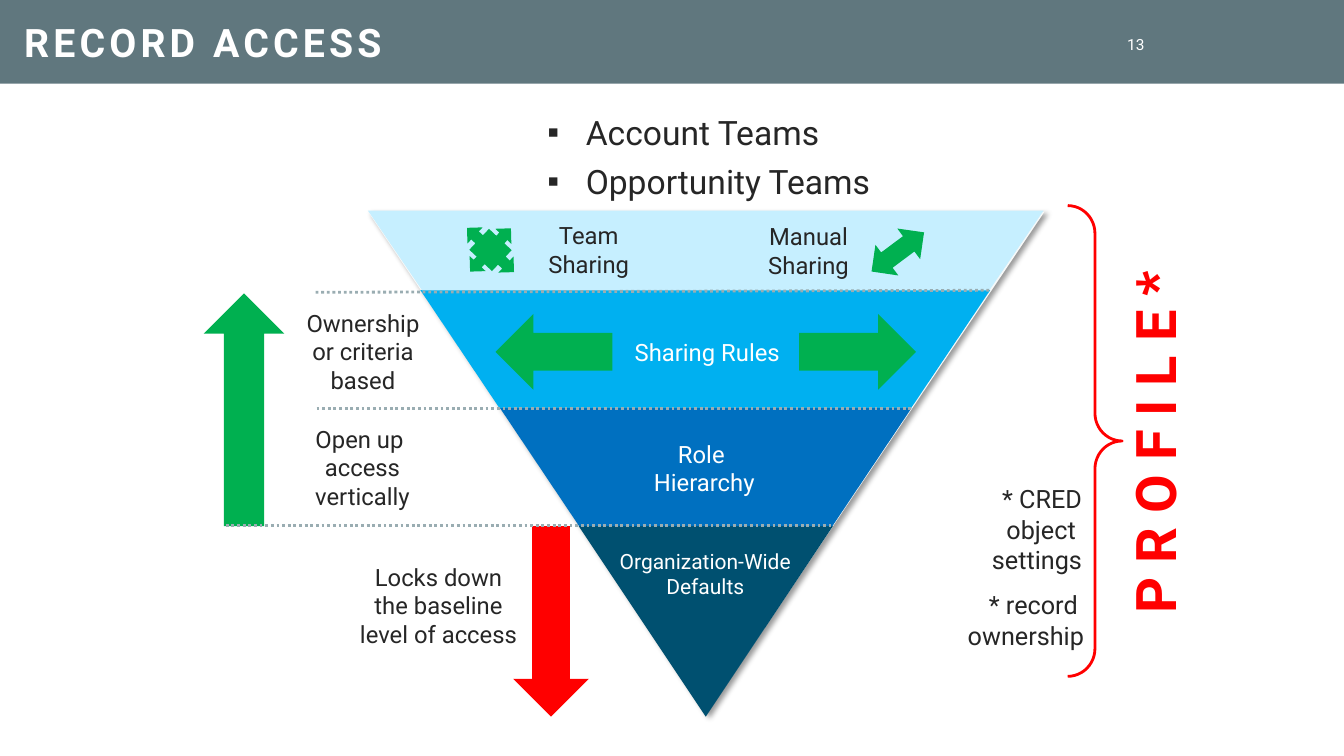
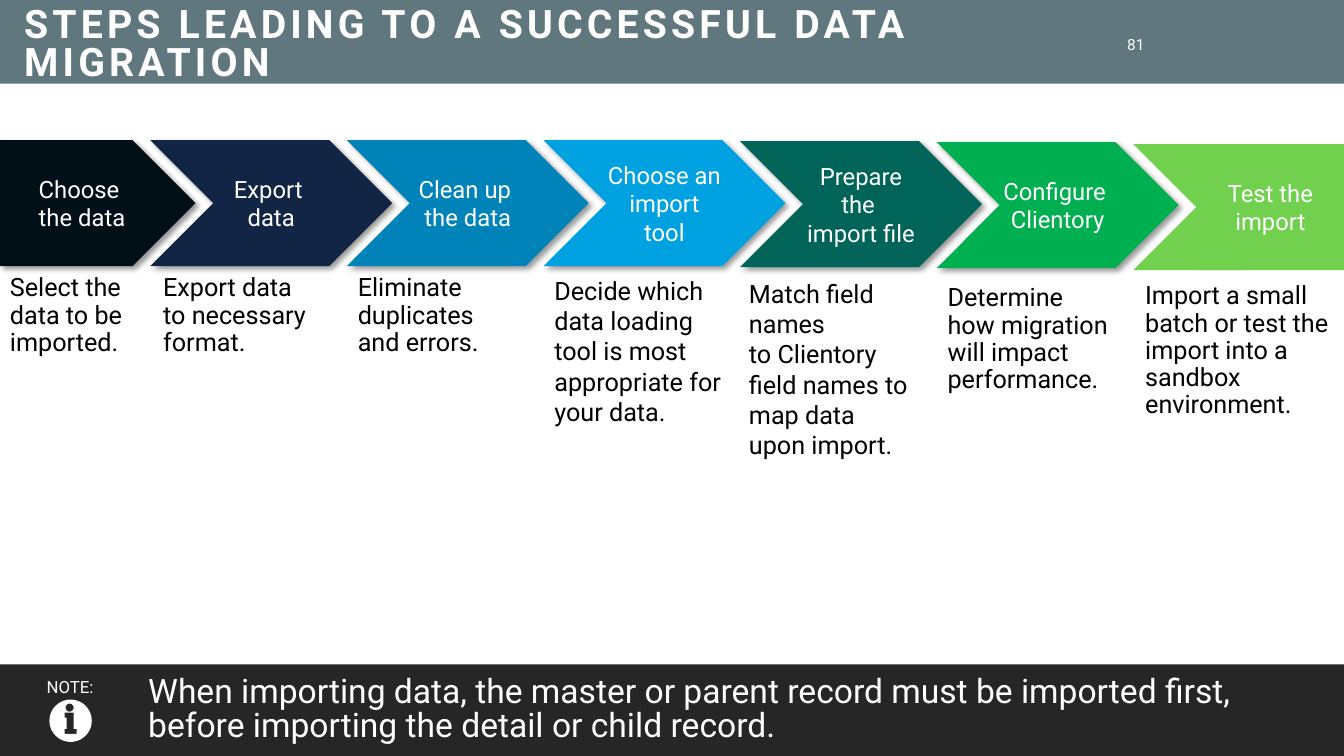
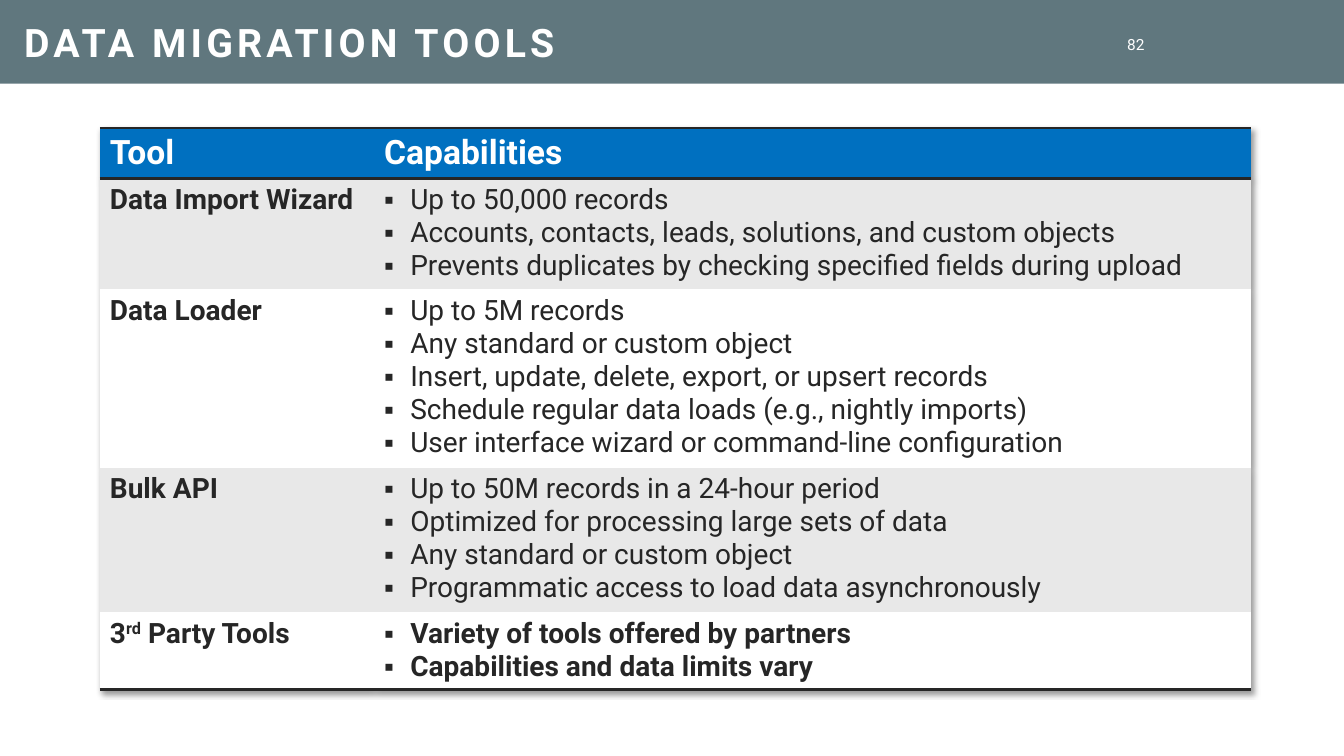
"""Build three training slides on record access and data migration."""
from math import cos, pi, sin

from lxml import etree
from pptx import Presentation
from pptx.dml.color import RGBColor
from pptx.enum.dml import MSO_LINE
from pptx.enum.shapes import MSO_CONNECTOR, MSO_SHAPE
from pptx.enum.text import MSO_ANCHOR, MSO_AUTO_SIZE, PP_ALIGN
from pptx.oxml import parse_xml
from pptx.oxml.ns import nsdecls, qn
from pptx.util import Inches, Pt

FONT = "Roboto"
WHITE = RGBColor(0xFF, 0xFF, 0xFF)
BLACK = RGBColor(0x00, 0x00, 0x00)
INK = RGBColor(0x26, 0x26, 0x26)
SLATE = RGBColor(0x60, 0x77, 0x7E)
DOTS = RGBColor(0x9A, 0xAD, 0xB2)
MIST = RGBColor(0xF7, 0xF9, 0xF9)
STRIPE = RGBColor(0xE8, 0xE8, 0xE8)
RED = RGBColor(0xFF, 0x00, 0x00)
GREEN = RGBColor(0x00, 0xB0, 0x50)
LIME = RGBColor(0x71, 0xD1, 0x4F)
PINE = RGBColor(0x00, 0x65, 0x58)
ICE = RGBColor(0xC6, 0xEF, 0xFF)
SKY = RGBColor(0x00, 0xB0, 0xF0)
AZURE = RGBColor(0x00, 0xA1, 0xE0)
OCEAN = RGBColor(0x00, 0x83, 0xB8)
BLUE = RGBColor(0x00, 0x70, 0xC0)
TEAL = RGBColor(0x00, 0x50, 0x70)
NAVY = RGBColor(0x13, 0x25, 0x45)
NIGHT = RGBColor(0x00, 0x10, 0x16)

SHADOW = (
    f'<a:outerShdw {nsdecls("a")} blurRad="50800" dist="38100" dir="2700000" algn="tl" '
    'rotWithShape="0"><a:srgbClr val="000000"><a:alpha val="40000"/></a:srgbClr></a:outerShdw>'
)
BORDER = (
    '<a:{side} {ns} w="25400"><a:solidFill><a:srgbClr val="{colour}"/></a:solidFill></a:{side}>'
)


def write(frame, lines, size, colour, align=PP_ALIGN.LEFT, spacing=1.0, bold=False, indent=0, gap=0):
    frame.word_wrap = True
    for number, line in enumerate(lines):
        paragraph = frame.add_paragraph() if number else frame.paragraphs[0]
        if indent:
            properties = paragraph._p.get_or_add_pPr()
            properties.set("marL", str(Inches(indent)))
            properties.set("indent", str(-Inches(indent)))
            etree.SubElement(properties, qn("a:buFont"), typeface="Arial")
            etree.SubElement(properties, qn("a:buChar"), char="▪")
        paragraph.alignment = align
        paragraph.line_spacing = spacing
        paragraph.space_before = Pt(gap if number else 0)
        for row, piece in enumerate(line.split("\n")):
            if row:
                paragraph.add_line_break()
            for position, words in enumerate(piece.split("^")):
                run = paragraph.add_run()
                run.text = words
                run.font.name = FONT
                run.font.size = Pt(size)
                run.font.bold = bold
                run.font.color.rgb = colour
                if position % 2:
                    run._r.get_or_add_rPr().set("baseline", "30000")


def draw(slide, kind, box, fill, turn=0, flip=False, adjust=None, shadow=False):
    figure = slide.shapes.add_shape(kind, *map(Inches, box))
    figure.fill.solid()
    figure.fill.fore_color.rgb = fill
    figure.line.fill.background()
    figure.shadow.inherit = False
    figure.rotation = turn
    if flip:
        figure._element.spPr.find(qn("a:xfrm")).set("flipV", "1")
    if adjust:
        figure.adjustments[0] = adjust
    if shadow:
        figure._element.spPr.find(qn("a:effectLst")).append(parse_xml(SHADOW))
    return figure


deck = Presentation()
deck.slide_width = Inches(13.33)
deck.slide_height = Inches(7.5)

heading = deck.slide_master.placeholders[0]
heading.left, heading.top, heading.width, heading.height = map(Inches, (0.14, 0, 10.78, 0.82))

slides = []
for layout, title, page in [
    (1, "RECORD ACCESS", "13"),
    (5, "STEPS LEADING TO A SUCCESSFUL DATA MIGRATION", "81"),
    (5, "DATA MIGRATION TOOLS", "82"),
]:
    slide = deck.slides.add_slide(deck.slide_layouts[layout])
    slides.append(slide)
    frame = slide.shapes.title.text_frame
    write(frame, [title], 28, WHITE, spacing=0.8, bold=True)
    frame.paragraphs[0].runs[0]._r.get_or_add_rPr().set("spc", "300")
    frame.auto_size = MSO_AUTO_SIZE.NONE
    frame.vertical_anchor = MSO_ANCHOR.MIDDLE
    frame.margin_top = Inches(0.15)
    frame = slide.shapes.add_textbox(*map(Inches, (10.92, 0.33, 0.53, 0.22))).text_frame
    write(frame, [page], 11, WHITE, PP_ALIGN.RIGHT)
    frame.vertical_anchor = MSO_ANCHOR.MIDDLE
    frame.margin_top = frame.margin_bottom = 0

access, steps, tools = slides

band = draw(access, MSO_SHAPE.RECTANGLE, (0, 0, 13.33, 0.83), SLATE)
band._element.nvSpPr.cNvPr.set("id", "20")
deck.slide_master.shapes._spTree.insert(2, band._element)

teams = access.placeholders[1]
teams.left, teams.top, teams.width, teams.height = map(Inches, (5.33, 1.06, 4.96, 0.87))
write(teams.text_frame, ["Account Teams", "Opportunity Teams"], 24, INK, indent=0.38, gap=6)
teams.text_frame.auto_size = MSO_AUTO_SIZE.NONE

draw(access, MSO_SHAPE.ISOSCELES_TRIANGLE, (3.65, 2.1, 6.71, 4.99), MIST, flip=True, shadow=True)
draw(access, MSO_SHAPE.ISOSCELES_TRIANGLE, (5.74, 5.22, 2.52, 1.89), TEAL, flip=True)
for box, fill, slant in [
    ((4.17, 2.88, 5.65, 1.17), SKY, 0.67),
    ((4.96, 4.05, 4.08, 1.17), BLUE, 0.67),
    ((3.65, 2.09, 6.7, 0.79), ICE, 0.68),
]:
    draw(access, MSO_SHAPE.TRAPEZOID, box, fill, flip=True, adjust=slant)

for kind, box, fill, turn in [
    (MSO_SHAPE.UP_ARROW, (5.09, 5.22, 0.75, 1.89), RED, 180),
    (MSO_SHAPE.UP_ARROW, (2.02, 2.91, 0.8, 2.31), GREEN, 0),
    (MSO_SHAPE.UP_ARROW, (5.12, 2.91, 0.75, 1.16), GREEN, 270),
    (MSO_SHAPE.UP_ARROW, (8.13, 2.91, 0.75, 1.16), GREEN, 90),
    (MSO_SHAPE.LEFT_RIGHT_ARROW, (8.58, 2.31, 0.65, 0.38), GREEN, 323.3),
    (MSO_SHAPE.QUAD_ARROW_CALLOUT, (4.57, 2.16, 0.59, 0.64), GREEN, 313.3),
]:
    draw(access, kind, box, fill, turn)

for ends in [(2.24, 5.21, 8.24, 5.21), (3.14, 4.05, 9.04, 4.05), (3.13, 2.9, 9.83, 2.88)]:
    divider = access.shapes.add_connector(MSO_CONNECTOR.STRAIGHT, *map(Inches, ends))
    divider.line.color.rgb = DOTS
    divider.line.width = Pt(2)
    divider.line.dash_style = MSO_LINE.ROUND_DOT
    etree.SubElement(divider._element.spPr, qn("a:effectLst"))

brace = draw(access, MSO_SHAPE.RIGHT_BRACE, (10.59, 2.04, 0.54, 4.67), WHITE, adjust=0.51)
brace.fill.background()
brace.line.color.rgb = RED
brace.line.width = Pt(2)

for box, lines, size, colour, align in [
    ((6.04, 4.31, 1.89, 0.67), ["Role ", "Hierarchy"], 17, WHITE, PP_ALIGN.CENTER),
    ((6.12, 3.3, 1.79, 0.39), ["Sharing Rules"], 17, WHITE, PP_ALIGN.CENTER),
    ((5.95, 5.39, 2.09, 0.61), ["Organization-Wide Defaults"], 15, WHITE, PP_ALIGN.CENTER),
    ((3.43, 5.53, 1.84, 0.96), ["Locks down the baseline level of access"], 17, INK, PP_ALIGN.CENTER),
    ((2.87, 4.16, 1.45, 0.96), ["Open up \naccess", "vertically"], 17, INK, PP_ALIGN.CENTER),
    ((2.84, 3.01, 1.52, 0.96), ["Ownership or criteria based"], 17, INK, PP_ALIGN.CENTER),
    ((7.47, 2.15, 1.1, 0.68), ["Manual Sharing"], 17, INK, PP_ALIGN.CENTER),
    ((5.22, 2.14, 1.24, 0.67), ["Team Sharing"], 17, INK, PP_ALIGN.CENTER),
    ((9.39, 4.75, 1.44, 1.01), ["* CRED object \nsettings"], 18, INK, PP_ALIGN.RIGHT),
    ((9.41, 5.8, 1.44, 0.71), ["* record \nownership"], 18, INK, PP_ALIGN.RIGHT),
]:
    label = access.shapes.add_textbox(*map(Inches, box))
    write(label.text_frame, lines, size, colour, align)

profile = access.shapes.add_textbox(*map(Inches, (9.01, 4, 4.87, 0.77)))
profile.rotation = 270
write(profile.text_frame, ["P R O F I L E *"], 40, RED, PP_ALIGN.CENTER, bold=True)

draw(steps, MSO_SHAPE.CHEVRON, (11.24, 1.43, 1.74, 1.25), LIME)
for kind, box, fill, step, detail_box, detail, spacing in [
    (MSO_SHAPE.PENTAGON, (0, 1.39, 1.94, 1.25), NIGHT, "Choose \nthe data",
     (0, 2.68, 1.42, 0.92), "Select the data to be imported.", 0.9),
    (MSO_SHAPE.CHEVRON, (1.49, 1.39, 2.4, 1.25), NAVY, "Export \ndata",
     (1.52, 2.68, 1.73, 0.92), "Export data to necessary format.", 0.9),
    (MSO_SHAPE.CHEVRON, (3.44, 1.39, 2.4, 1.25), OCEAN, "Clean up \nthe data",
     (3.45, 2.68, 1.75, 0.92), "Eliminate duplicates and errors.", 0.9),
    (MSO_SHAPE.CHEVRON, (5.39, 1.39, 2.4, 1.25), AZURE, "Choose an\nimport tool",
     (5.4, 2.68, 1.93, 1.62),
     "Decide which data loading tool is most appropriate for your data.", 1.0),
    (MSO_SHAPE.CHEVRON, (7.34, 1.4, 2.4, 1.25), PINE, "Prepare the \nimport file",
     (7.33, 2.71, 1.8, 1.92),
     "Match field names \nto Clientory field names to map data upon import.", 1.0),
    (MSO_SHAPE.CHEVRON, (9.29, 1.41, 2.4, 1.25), GREEN, "Configure \nClientory",
     (9.3, 2.78, 1.79, 1.19), "Determine how migration will impact performance.", 0.9),
    (MSO_SHAPE.RECTANGLE, (11.87, 1.43, 1.46, 1.25), LIME, "Test the import",
     (11.26, 2.76, 2.07, 1.46),
     "Import a small batch or test the import into a sandbox environment.", 0.9),
]:
    stage = draw(steps, kind, box, fill, shadow=fill != LIME)
    write(stage.text_frame, [step], 17, WHITE, PP_ALIGN.CENTER)
    stage.text_frame.vertical_anchor = MSO_ANCHOR.MIDDLE
    stage.text_frame.margin_left = stage.text_frame.margin_right = 0
    description = steps.shapes.add_textbox(*map(Inches, detail_box))
    write(description.text_frame, [detail], 18, BLACK, spacing=spacing)

note = draw(steps, MSO_SHAPE.RECTANGLE, (0, 6.59, 13.33, 0.91), INK)
write(
    note.text_frame,
    ["When importing data, the master or parent record must be imported first, "
     "before importing the detail or child record."],
    24, WHITE, spacing=0.85,
)
note.text_frame.vertical_anchor = MSO_ANCHOR.MIDDLE
note.text_frame.margin_left = Inches(1.47)
note.text_frame.margin_right = Inches(0.5)
caption = steps.shapes.add_textbox(*map(Inches, (-0.02, 6.66, 1.43, 0.3)))
write(caption.text_frame, ["NOTE:"], 12, WHITE, PP_ALIGN.CENTER)

contours = [
    [(x + radius * cos(pi * k / 24), y + radius * sin(pi * k / 24)) for k in range(48)]
    for x, y, radius in [(0.7, 7.15, 0.21), (0.69, 7.02, 0.04)]
]
contours.append([
    (0.64, 7.07), (0.73, 7.07), (0.73, 7.23), (0.76, 7.23), (0.76, 7.28),
    (0.64, 7.28), (0.64, 7.23), (0.66, 7.23), (0.66, 7.12), (0.64, 7.12),
])
outline = steps.shapes.build_freeform(*map(Inches, contours[0][0]))
for number, contour in enumerate(contours):
    points = [(Inches(x), Inches(y)) for x, y in contour]
    if number:
        outline.move_to(*points[0])
    outline.add_line_segments(points[1:], close=True)
info = outline.convert_to_shape()
info.fill.solid()
info.fill.fore_color.rgb = WHITE
info.line.fill.background()
info.shadow.inherit = False

capabilities = [
    ("Data Import Wizard", 1.08, [
        "Up to 50,000 records",
        "Accounts, contacts, leads, solutions, and custom objects",
        "Prevents duplicates by checking specified fields during upload",
    ]),
    ("Data Loader", 1.73, [
        "Up to 5M records",
        "Any standard or custom object",
        "Insert, update, delete, export, or upsert records",
        "Schedule regular data loads (e.g., nightly imports)",
        "User interface wizard or command-line configuration",
    ]),
    ("Bulk API", 1.41, [
        "Up to 50M records in a 24-hour period",
        "Optimized for processing large sets of data",
        "Any standard or custom object",
        "Programmatic access to load data asynchronously",
    ]),
    ("3^rd^ Party Tools", 0.75, [
        "Variety of tools offered by partners",
        "Capabilities and data limits vary",
    ]),
]
last = len(capabilities)
grid = tools.shapes.add_table(last + 1, 2, *map(Inches, (0.99, 1.27, 11.42, 5.46))).table
grid.horz_banding = False
grid.columns[0].width = Inches(2.72)
grid.columns[1].width = Inches(8.7)
style = grid._tbl.tblPr
style.find(qn("a:tableStyleId")).text = "{2D5ABB26-0587-4C30-8999-92F81FD0307C}"
glow = etree.Element(qn("a:effectLst"))
glow.append(parse_xml(SHADOW))
style.insert(0, glow)

grid.rows[0].height = Inches(0.49)
for column, name in enumerate(["Tool", "Capabilities"]):
    write(grid.cell(0, column).text_frame, [name], 24, WHITE, bold=True)
for row, (tool, height, features) in enumerate(capabilities, 1):
    grid.rows[row].height = Inches(height)
    write(grid.cell(row, 0).text_frame, [tool], 20, INK, bold=True)
    write(grid.cell(row, 1).text_frame, features, 20, INK, bold=row == last, indent=0.26)

for row in range(last + 1):
    for cell in grid.rows[row].cells:
        cell.fill.solid()
        cell.fill.fore_color.rgb = (STRIPE if row % 2 else WHITE) if row else BLUE
        sides = {0: ["lnB", "lnT"], last: ["lnB"]}.get(row, [])
        for side in sides:
            edge = BORDER.format(side=side, ns=nsdecls("a"), colour=INK)
            cell._tc.get_or_add_tcPr().insert(0, parse_xml(edge))

deck.save("out.pptx")
